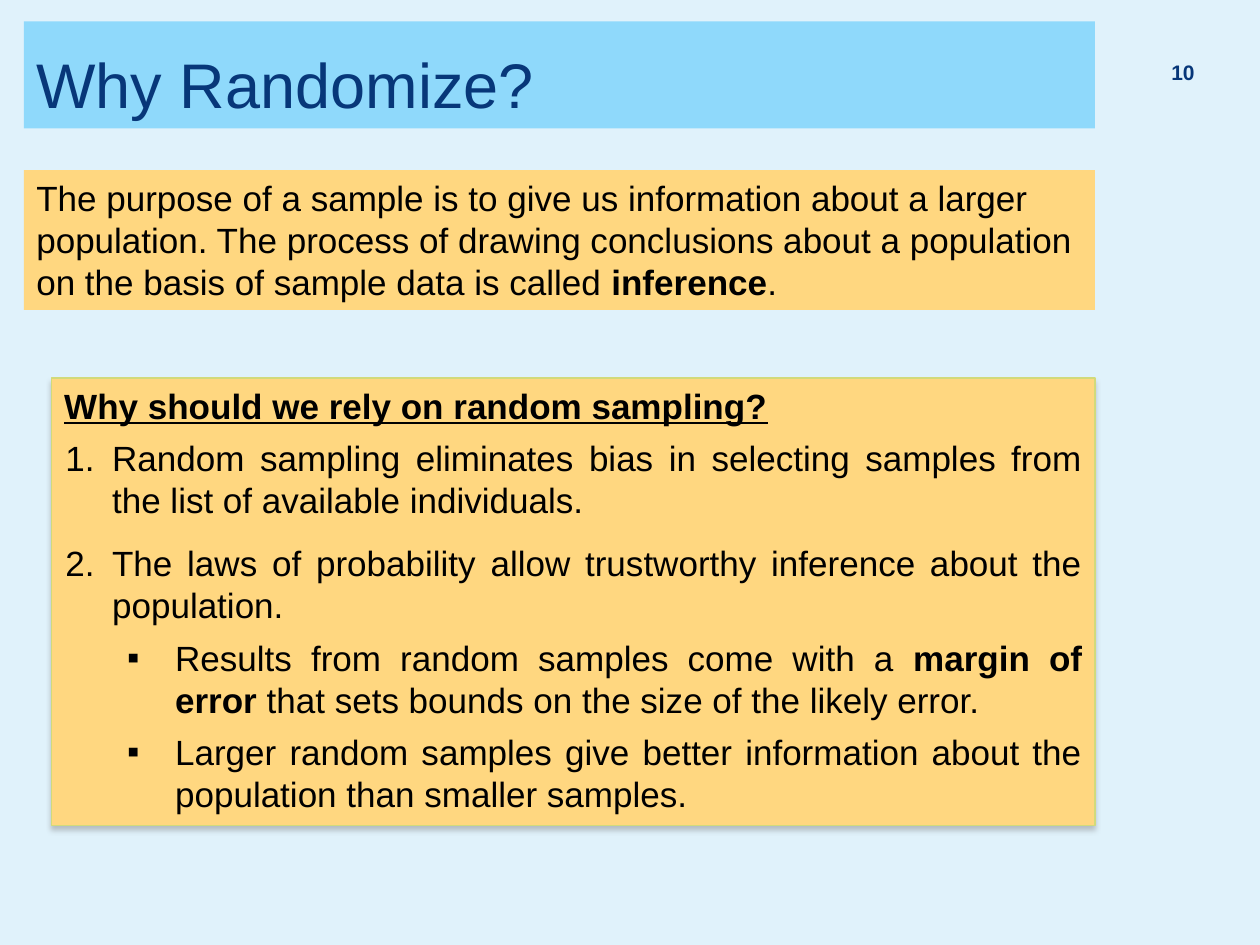
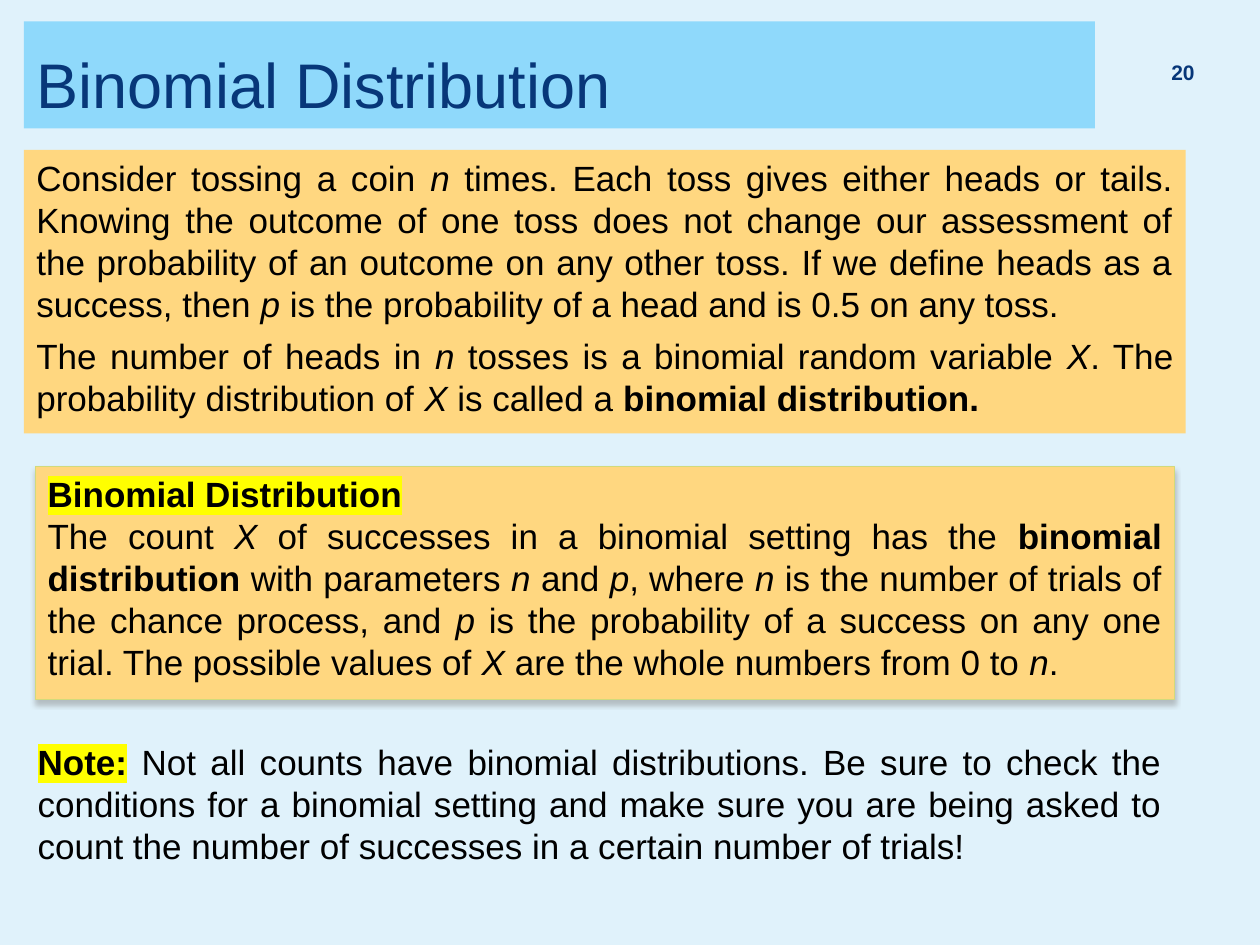
from dataclasses import dataclass

from lxml import etree
from pptx import Presentation
from pptx import util as u
from pptx.dml.color import RGBColor
from pptx.enum import shapes, text
from pptx.oxml import parse_xml
from pptx.oxml.ns import qn

A = 'xmlns:a="http://schemas.openxmlformats.org/drawingml/2006/main"'
Inches, Pt, Align, Anchor = u.Inches, u.Pt, text.PP_ALIGN, text.MSO_ANCHOR


@dataclass(frozen=True)
class Theme:
    page: str = "E0F2FB"
    band: str = "8FD9FB"
    heading: str = "073779"
    panel: str = "FFD780"
    panel_edge: str = "D2DA7A"
    shadow: str = "808080"
    ink: str = "000000"
    marker: str = "FFFF00"
    face: str = "Arial"
    title_size: int = 36
    body_size: int = 20
    number_size: int = 12


theme = Theme()


def write(shape, paragraphs, size=theme.body_size, color=theme.ink, anchor=Anchor.TOP):
    """Fill a shape with (runs, format) paragraphs; a run is (words, flags),
    with flags b bold, i italic, u underlined, h highlighted."""
    frame = shape.text_frame
    frame.word_wrap = True
    frame.auto_size = text.MSO_AUTO_SIZE.NONE
    frame.vertical_anchor = anchor
    for index, (runs, form) in enumerate(paragraphs):
        p = frame.add_paragraph() if index else frame.paragraphs[0]
        p.level = form.get("level", 0)
        p.alignment = form.get("align", Align.JUSTIFY)
        p.line_spacing = form.get("spacing", 1.0)
        p.space_before = Pt(form.get("before", 0))
        p.space_after = Pt(form.get("after", 0))
        margin, indent = form.get("indent", (0, 0))
        p_pr = p._p.get_or_add_pPr()
        p_pr.set("marL", str(Inches(margin)))
        p_pr.set("indent", str(Inches(indent)))
        p_pr.append(parse_xml(form.get("bullet", f"<a:buNone {A}/>")))
        for words, flags in runs:
            run = p.add_run()
            run.text = words
            font = run.font
            font.name, font.size = theme.face, Pt(size)
            font.color.rgb = RGBColor.from_string(color)
            font.bold, font.italic, font.underline = (flag in flags for flag in "biu")
            if "h" in flags:
                run._r.rPr.find(qn("a:solidFill")).addnext(parse_xml(
                    f'<a:highlight {A}><a:srgbClr val="{theme.marker}"/></a:highlight>'))


def place(shape, box, fill, raised=False):
    """Move and colour a shape; a raised one has an edge and a soft shadow."""
    shape.left, shape.top, shape.width, shape.height = map(Inches, box)
    shape.fill.solid()
    shape.fill.fore_color.rgb = RGBColor.from_string(fill)
    shape.shadow.inherit = False
    if not raised:
        shape.line.fill.background()
        return
    shape.line.color.rgb = RGBColor.from_string(theme.panel_edge)
    shape.line.width = Pt(0.79)
    effects = shape._element.spPr.find(qn("a:effectLst"))
    cast = etree.SubElement(effects, qn("a:outerShdw"), blurRad=str(Pt(3)),
                            dist=str(Pt(2.4)), dir="5400000", rotWithShape="0")
    tint = etree.SubElement(cast, qn("a:srgbClr"), val=theme.shadow)
    etree.SubElement(tint, qn("a:alpha"), val="45000")


prs = Presentation()
prs.slide_width, prs.slide_height = Inches(10), Inches(7.5)
page = prs.slide_master.background.fill
page.solid()
page.fore_color.rgb = RGBColor.from_string(theme.page)

# Title band and page number on both slides
slides = []
for heading, number, layout in (("Why Randomize?", "10", 1),
                                ("Binomial Distribution", "20", 5)):
    slide = prs.slides.add_slide(prs.slide_layouts[layout])
    title = slide.shapes.title
    place(title, (0.19, 0.17, 8.5, 0.85), theme.band)
    write(title, [([(heading, "")], dict(align=Align.LEFT, spacing=0.9))],
          size=theme.title_size, color=theme.heading, anchor=Anchor.BOTTOM)
    page_number = slide.shapes.add_textbox(*map(Inches, (9.03, 0.39, 0.55, 0.4)))
    write(page_number, [([(number, "b")], dict(align=Align.RIGHT, spacing=0.8))],
          size=theme.number_size, color=theme.heading, anchor=Anchor.MIDDLE)
    slides.append(slide)
randomize, binomial = slides

# Why Randomize?
purpose = randomize.shapes.add_shape(shapes.MSO_SHAPE.RECTANGLE, 0, 0, 0, 0)
place(purpose, (0.19, 1.35, 8.5, 1.11), theme.panel)
write(purpose, [([
    ("The purpose of a sample is to give us information about a larger population. "
     "The process of drawing conclusions about a population on the basis of sample "
     "data is called ", ""), ("inference", "b"), (".", "")], dict(align=Align.LEFT))])

numbered = dict(indent=(0.38, -0.37),
                bullet=f'<a:buAutoNum {A} type="arabicPeriod"/>')
squared = dict(level=1, indent=(0.88, -0.38), before=6,
               bullet=f'<a:buChar {A} char="▪"/>')
reasons = randomize.placeholders[1]
place(reasons, (0.41, 3, 8.28, 3.55), theme.panel, raised=True)
write(reasons, [
    ([("Why should we rely on random sampling?", "bu")],
     dict(align=Align.LEFT, after=6)),
    ([("Random sampling eliminates bias in selecting samples from the list of "
       "available individuals.", "")], dict(numbered, after=12)),
    ([("The laws of probability allow trustworthy inference about the population.",
       "")], numbered),
    ([("Results from random samples come with a ", ""), ("margin of error", "b"),
      (" that sets bounds on the size of the likely error.", "")], squared),
    ([("Larger random samples give better information about the population than "
       "smaller samples.", "")], squared),
])

# Binomial Distribution
coin = binomial.shapes.add_shape(shapes.MSO_SHAPE.RECTANGLE, 0, 0, 0, 0)
place(coin, (0.19, 1.19, 9.22, 2.25), theme.panel)
write(coin, [
    ([("Consider tossing a coin ", ""), ("n", "i"),
      (" times. Each toss gives either heads or tails. Knowing the outcome of one "
       "toss does not change our assessment of the probability of an outcome on any "
       "other toss. If we define heads as a success, then ", ""), ("p ", "i"),
      ("is the probability of a head and is 0.5 on any toss.", "")], {}),
    ([("The number of heads in ", ""), ("n", "i"),
      (" tosses is a binomial random variable ", ""), ("X", "i"),
      (". The probability distribution of ", ""), ("X", "i"),
      (" is called a ", ""), ("binomial distribution.", "b")], dict(before=6)),
])

definition = binomial.shapes.add_shape(shapes.MSO_SHAPE.RECTANGLE, 0, 0, 0, 0)
place(definition, (0.28, 3.7, 9.04, 1.85), theme.panel, raised=True)
write(definition, [
    ([("Binomial Distribution", "bh")], dict(align=Align.LEFT)),
    ([("The count ", ""), ("X ", "i"),
      ("of successes in a binomial setting has the ", ""),
      ("binomial distribution ", "b"), ("with parameters ", ""), ("n ", "i"),
      ("and ", ""), ("p", "i"), (", where ", ""), ("n ", "i"),
      ("is the number of trials of the chance process, and ", ""), ("p ", "i"),
      ("is the probability of a success on any one trial. The possible values of ",
       ""), ("X ", "i"), ("are the whole numbers from 0 to ", ""), ("n", "i"),
      (".", "")], {}),
])

note = binomial.shapes.add_textbox(*map(Inches, (0.2, 5.83, 9.12, 1.11)))
write(note, [([
    ("Note:", "bh"),
    (" Not all counts have binomial distributions. Be sure to check the conditions "
     "for a binomial setting and make sure you are being asked to count the number "
     "of successes in a certain number of trials!", "")], {})])

prs.save("out.pptx")
